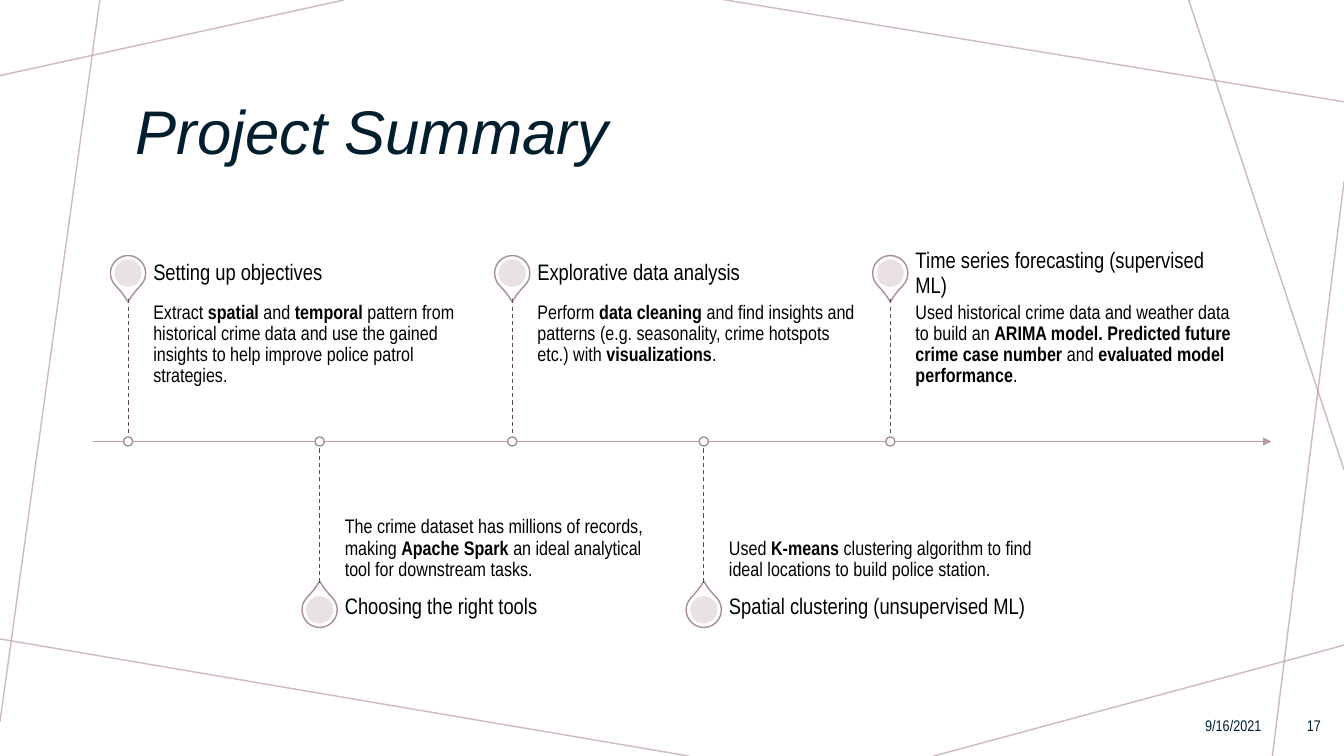
from lxml import etree
from pptx import Presentation
from pptx.dml.color import RGBColor
from pptx.enum.dml import MSO_LINE
from pptx.enum.shapes import MSO_CONNECTOR, MSO_SHAPE
from pptx.enum.text import MSO_ANCHOR, PP_ALIGN
from pptx.oxml.ns import qn
from pptx.util import Inches, Pt

STRAIGHT = MSO_CONNECTOR.STRAIGHT
OVAL, TEARDROP = MSO_SHAPE.OVAL, MSO_SHAPE.TEAR
TOP, MIDDLE, BOTTOM = MSO_ANCHOR.TOP, MSO_ANCHOR.MIDDLE, MSO_ANCHOR.BOTTOM
LEFT, RIGHT = PP_ALIGN.LEFT, PP_ALIGN.RIGHT

# Content: body pieces alternate between regular and bold
TITLE, DATE, PAGE = "Project Summary", "9/16/2021", "17"
MILESTONES = [
    (1.27, "Setting up objectives",
     ["Extract ", "spatial", " and ", "temporal",
      " pattern from historical crime data and use the gained insights "
      "to help improve police patrol strategies."]),
    (3.17, "Choosing the right tools",
     ["The crime dataset has millions of records, making ", "Apache Spark ",
      "an ideal analytical tool for downstream tasks."]),
    (5.08, "Explorative data analysis",
     ["Perform ", "data cleaning ",
      "and find insights and patterns (e.g. seasonality, crime hotspots etc.) with ",
      "visualizations", "."]),
    (6.98, "Spatial clustering (unsupervised ML)",
     ["Used ", "K-means",
      " clustering algorithm to find ideal locations to build police station."]),
    (8.83, "Time series forecasting (supervised ML)",
     ["Used historical crime data and weather data to build an ",
      "ARIMA model. Predicted future crime case number", " and ",
      "evaluated model performance", "."]),
]
BACKGROUND_LINES = [
    (3.41, 0, 0, 0.75), (0.99, 0, 0, 7.16), (6.83, 7.5, -0.05, 6.33),
    (13.33, 6.4, 9.26, 7.5), (13.33, 1.8, 12.62, 7.5),
    (13.33, 4.66, 11.79, 0), (13.33, 1.01, 7.14, -0.01),
]

# Style and layout
NARROW = "Arial Narrow"
WHITE, BLACK, NAVY = "FFFFFF", "000000", "001E2E"
ROSE, OUTLINE, STEM, PALE = "BA9CA0", "A98E91", "65464A", "E7DEDF"
AXIS_Y = 4.38
TEXT_GAP, TEXT_WIDTH = 0.25, 3.21
HEADING_HEIGHT, BODY_HEIGHT = 0.49, 1.41
PIN_SIZE, CORE_SIZE, DOT_SIZE = 0.35, 0.27, 0.09


def color(value):
    return RGBColor.from_string(value)


def set_alpha(fill_parent, percent):
    rgb = fill_parent.find(".//" + qn("a:srgbClr"))
    etree.SubElement(rgb, qn("a:alpha")).set("val", str(percent * 1000))


def add_line(slide, x1, y1, x2, y2, line_color, width=1):
    line = slide.shapes.add_connector(
        STRAIGHT, Inches(x1), Inches(y1), Inches(x2), Inches(y2))
    line.line.color.rgb = color(line_color)
    line.line.width = Pt(width)
    etree.SubElement(line._element.spPr, qn("a:effectLst"))
    return line


def add_centered(slide, kind, x, y, size, fill, outline=None):
    shape = slide.shapes.add_shape(
        kind, Inches(x - size / 2), Inches(y - size / 2), Inches(size), Inches(size))
    shape.shadow.inherit = False
    shape.fill.solid()
    shape.fill.fore_color.rgb = color(fill)
    if outline:
        shape.line.color.rgb = color(outline)
        shape.line.width = Pt(1)
    else:
        shape.line.fill.background()
    return shape


def add_text(slide, box, pieces, size, font=NARROW, text_color=BLACK, anchor=MIDDLE,
             align=LEFT, insets=(0.1, 0.05), spacing=None):
    text_box = slide.shapes.add_textbox(*map(Inches, box))
    frame = text_box.text_frame
    frame.word_wrap = True
    frame.vertical_anchor = anchor
    frame.margin_left = frame.margin_right = Inches(insets[0])
    frame.margin_top = frame.margin_bottom = Inches(insets[1])
    paragraph = frame.paragraphs[0]
    paragraph.alignment = align
    if spacing:
        paragraph.line_spacing = spacing
    paragraph.font.size = Pt(size)
    paragraph.font.name = font
    paragraph.font.color.rgb = color(text_color)
    for index, piece in enumerate(pieces):
        run = paragraph.add_run()
        run.text = piece
        if index % 2:
            run.font.bold = True
    return paragraph


def add_milestone(slide, x, heading, body, above):
    text_left = x + TEXT_GAP
    if above:
        pin_y, rotation, tip_y = 2.71, 135, 2.97
        heading_top, body_top, anchor = 2.47, 2.97, TOP
    else:
        pin_y, rotation, tip_y = 6.05, 315, 5.78
        heading_top, body_top, anchor = 5.78, AXIS_Y, BOTTOM

    # Pin
    pin = add_centered(slide, TEARDROP, x, pin_y, PIN_SIZE, WHITE, OUTLINE)
    pin.adjustments[0] = 1.15
    pin.rotation = rotation
    core = add_centered(slide, OVAL, x, pin_y, CORE_SIZE, PALE)
    set_alpha(core._element.spPr, 90)

    # Texts
    add_text(slide, (text_left, body_top, TEXT_WIDTH, BODY_HEIGHT), body, 14,
             anchor=anchor, insets=(0, 0.03), spacing=0.9)
    add_text(slide, (text_left, heading_top, TEXT_WIDTH, HEADING_HEIGHT), [heading], 16,
             insets=(0, 0), spacing=0.9)

    # Stem and dot on the axis
    stem = add_line(slide, x, tip_y, x, AXIS_Y, STEM, 0.75)
    stem.line.dash_style = MSO_LINE.DASH
    add_centered(slide, OVAL, x, AXIS_Y, DOT_SIZE, WHITE, OUTLINE)


def main():
    presentation = Presentation()
    presentation.slide_width = Inches(13.33)
    presentation.slide_height = Inches(7.5)
    slide = presentation.slides.add_slide(presentation.slide_layouts[6])

    # Background lines
    for ends in BACKGROUND_LINES:
        line = add_line(slide, *ends, ROSE)
        set_alpha(line._element.spPr, 70)

    # Timeline
    axis = add_line(slide, 0.92, AXIS_Y, 12.61, AXIS_Y, ROSE)
    etree.SubElement(axis.line._get_or_add_ln(), qn("a:tailEnd")).set("type", "triangle")
    for index, (x, heading, body) in enumerate(MILESTONES):
        add_milestone(slide, x, heading, body, above=index % 2 == 0)

    # Title and footer
    title = add_text(slide, (1.25, 0.58, 10.83, 1.51), [TITLE], 44, font="Arial",
                     text_color=NAVY, spacing=0.9)
    title.font.italic = True
    for left, width, text in [(8.02, 4.59, DATE), (12.69, 0.51, PAGE)]:
        add_text(slide, (left, 7, width, 0.4), [text], 11, text_color=NAVY, align=RIGHT)

    presentation.save("out.pptx")


if __name__ == "__main__":
    main()
